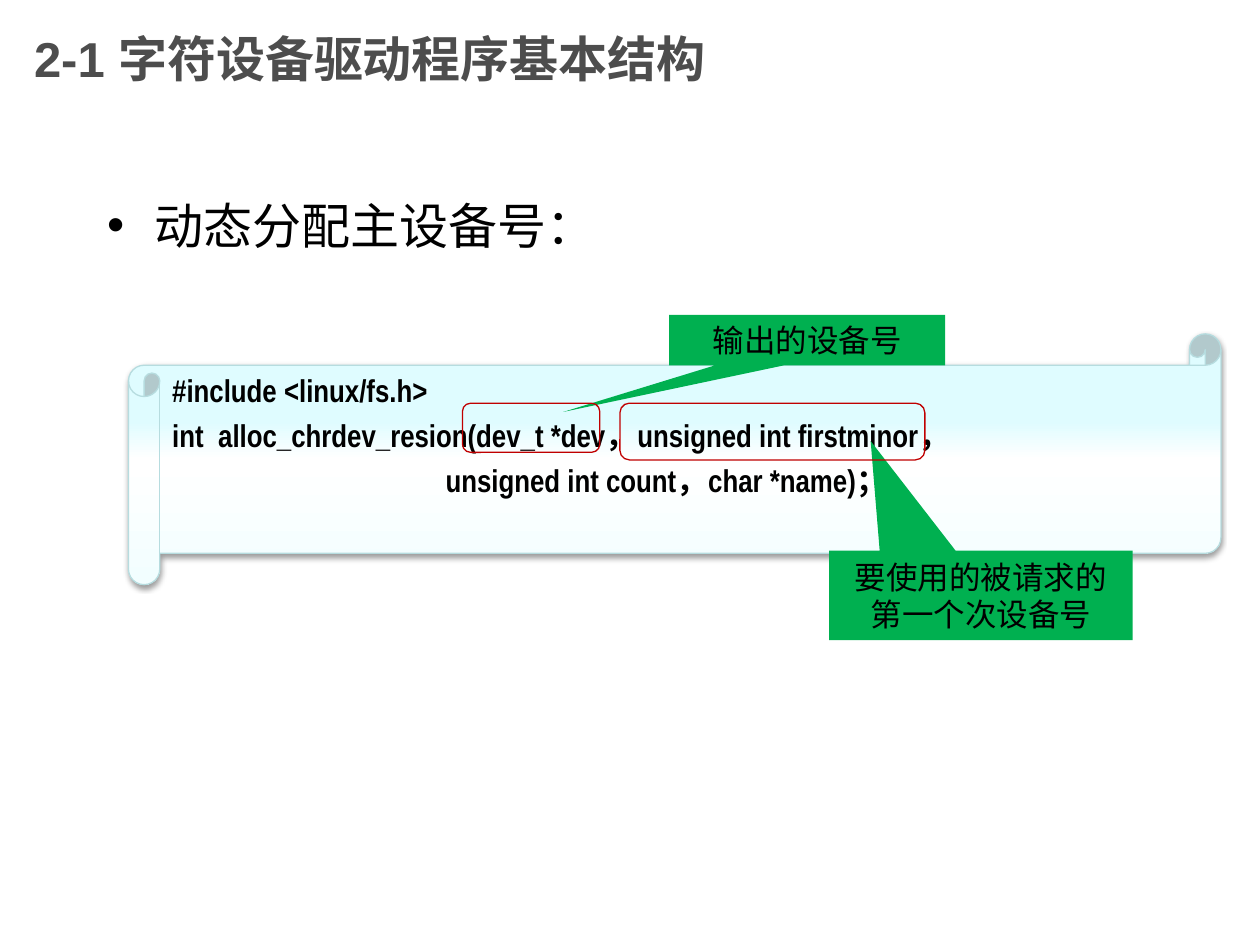
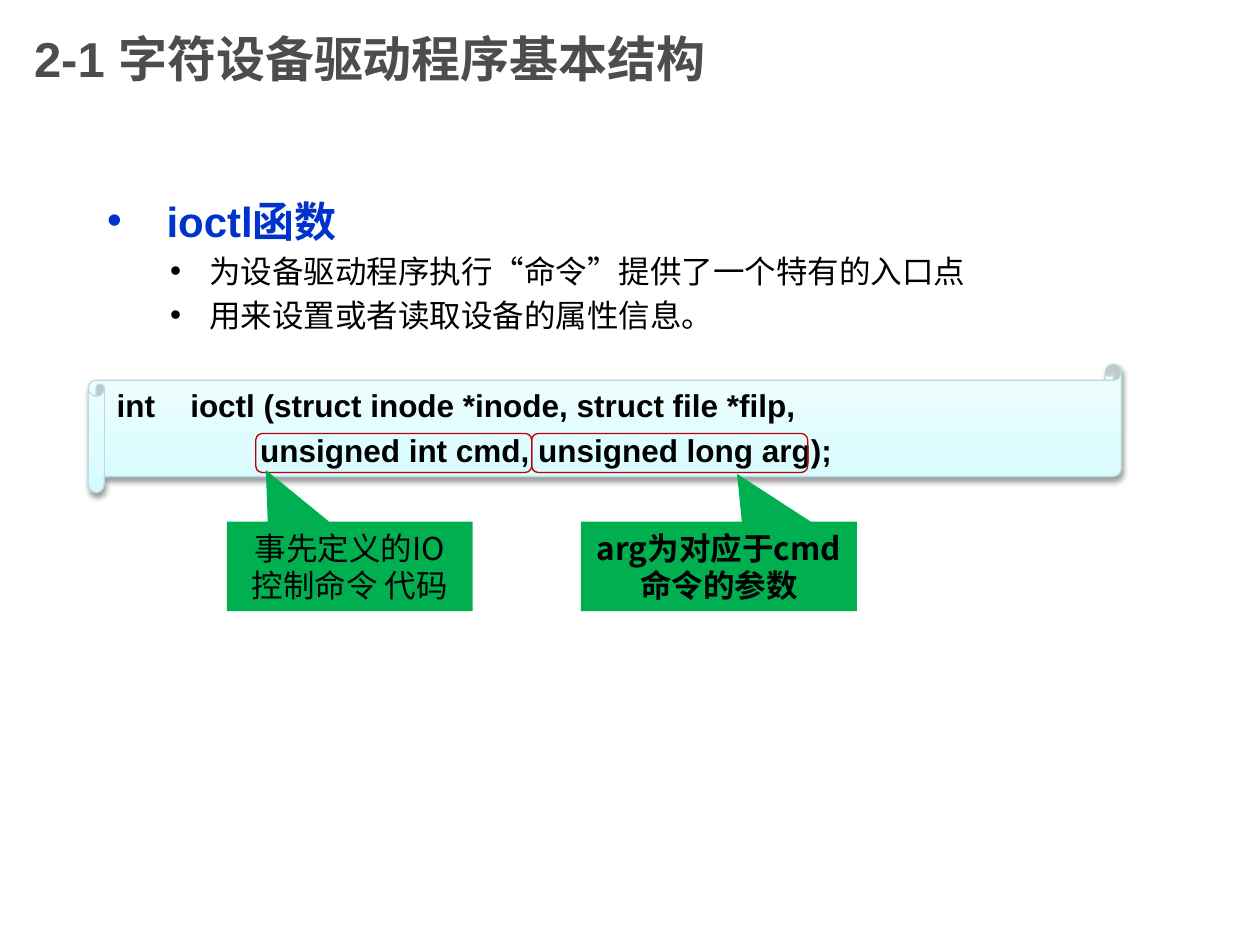
import pptx
import pptx.dml.color
import pptx.enum.shapes
import pptx.enum.text
import pptx.oxml.ns
import pptx.util
from lxml import etree

COLS, ROWS = 100, 75
HEX = {"title": "4D4D4D", "text": "000000", "head": "0033CC", "call": "00B050",
       "frame": "C00000", "edge": "B6DCDF", "shade": "000000"}
CJK = "Noto Sans CJK SC"
TITLE = "2-1 字符设备驱动程序基本结构"
KIND = pptx.enum.shapes.MSO_SHAPE
ALIGN = pptx.enum.text.PP_ALIGN
ANCHOR = pptx.enum.text.MSO_ANCHOR
Pt = pptx.util.Pt
qn = pptx.oxml.ns.qn

deck = pptx.Presentation()
deck.slide_width = pptx.util.Inches(10)
deck.slide_height = pptx.util.Inches(7.5)


def grid(left, top, wide, high):
    """Turn columns and rows into slide lengths."""
    col, row = deck.slide_width / COLS, deck.slide_height / ROWS
    return [round(n) for n in (left * col, top * row, wide * col, high * row)]


def tint(name):
    return pptx.dml.color.RGBColor.from_string(HEX[name])


def add(node, tag, **attrs):
    return etree.SubElement(node, qn(tag), {k: str(v) for k, v in attrs.items()})


def style(para, size, color="text", bold=False, font="Arial"):
    for run in para.runs:
        run.font.size, run.font.bold = Pt(size), bold
        run.font.name = font
        run.font.color.rgb = tint(color)
        add(run.font._element, "a:ea", typeface=CJK)


def indent(para, left, hang=0):
    """Set the left margin and hanging indent, in columns."""
    props = para._p.get_or_add_pPr()
    props.set("marL", str(grid(left, 0, 0, 0)[0]))
    props.set("indent", str(-grid(hang, 0, 0, 0)[0]))
    return props


def place(holder, box):
    holder.left, holder.top, holder.width, holder.height = grid(*box)
    holder.text_frame.auto_size = pptx.enum.text.MSO_AUTO_SIZE.NONE
    return holder.text_frame


def page(items):
    """Add a slide with the shared title and a bulleted list."""
    slide = deck.slides.add_slide(deck.slide_layouts[1])
    frame = place(slide.shapes.title, (1.7, 0, 75, 9.2))
    frame.text = TITLE
    frame.vertical_anchor = ANCHOR.MIDDLE
    frame.paragraphs[0].alignment = ALIGN.LEFT
    style(frame.paragraphs[0], 28, "title", True)

    frame = place(slide.placeholders[1], (7.5, 15, 85, 51.7))
    frame.text = "\n".join(item[0] for item in items)
    for para, (_, left, hang, size, color, bold) in zip(frame.paragraphs, items):
        para.space_before = Pt(size * 0.2)
        props = indent(para, left, hang)
        add(props, "a:buFont", typeface="Arial")
        add(props, "a:buChar", char="•")
        style(para, size, color, bold)
    return slide


def shape(slide, kind, box, line=None):
    item = slide.shapes.add_shape(kind, *grid(*box))
    item.shadow.inherit = False
    if line:
        item.line.color.rgb = tint(line)
        item.line.width = Pt(0.75)
    else:
        item.line.fill.background()
    return item


def scroll(slide, box, stops, angle, lines, font, tab, left):
    """Draw a code scroll; tab and left are the column gap and last line's indent."""
    item = shape(slide, KIND.HORIZONTAL_SCROLL, box, "edge")
    item.fill.gradient()
    item.fill.gradient_angle = angle
    props = item._element.spPr
    ramp = props.find(qn("a:gradFill")).find(qn("a:gsLst"))
    ramp.clear()
    for share, color in stops:
        stop = add(ramp, "a:gs", pos=share * 1000)
        add(stop, "a:srgbClr", val=color)
    shade = add(props.find(qn("a:effectLst")), "a:outerShdw", blurRad=Pt(3.1),
                dist=Pt(1.6), dir=5400000, rotWithShape=0)
    add(add(shade, "a:srgbClr", val=HEX["shade"]), "a:alpha", val=38000)

    frame = item.text_frame
    frame.text = "\n".join(lines)
    frame.vertical_anchor = ANCHOR.TOP
    for para in frame.paragraphs:
        para.alignment = ALIGN.LEFT
        para.space_before = Pt(4)
        if "\t" in para.text:
            tabs = add(para._p.get_or_add_pPr(), "a:tabLst")
            add(tabs, "a:tab", pos=grid(tab, 0, 0, 0)[0], algn="l")
        style(para, 18, bold=True, font=font)
    indent(frame.paragraphs[-1], left)


def frame_code(slide, box):
    shape(slide, KIND.ROUNDED_RECTANGLE, box, "frame").fill.background()


def callout(slide, box, tip, text, font="Arial", bold=False):
    """Draw a callout whose pointer ends at tip, in columns and rows."""
    item = shape(slide, KIND.RECTANGULAR_CALLOUT, box)
    item.fill.solid()
    item.fill.fore_color.rgb = tint("call")
    left, top, wide, high = box
    item.adjustments[0] = (tip[0] - left) / wide - 0.5
    item.adjustments[1] = (tip[1] - top) / high - 0.5
    item.text_frame.text = text
    para = item.text_frame.paragraphs[0]
    para.alignment = ALIGN.CENTER
    style(para, 18, bold=bold, font=font)


def main():
    slide = page([("动态分配主设备号：", 3.8, 3.8, 28, "text", False)])
    scroll(slide, (10.2, 26.5, 86.7, 19.9),
           [(35, "DFFCFF"), (50, "FFFFFF"), (100, "F2FEFF")], 270,
           ["#include <linux/fs.h>",
            "int\talloc_chrdev_resion(dev_t *dev，unsigned int firstminor，",
            "unsigned int count，char *name)；"], "Arial Narrow", 3.65, 21.7)
    callout(slide, (53.1, 25, 21.9, 4), (44.7, 32.7), "输出的设备号")
    callout(slide, (65.8, 43.7, 24.1, 7.1), (69.1, 35), "要使用的被请求的第一个次设备号")
    frame_code(slide, (36.7, 32, 10.9, 3.9))
    frame_code(slide, (49.2, 32, 24.2, 4.5))

    slide = page([
        (" ioctl函数", 3.8, 3.8, 24, "head", True),
        ("为设备驱动程序执行“命令”提供了一个特有的入口点", 8.1, 3.1, 18, "text", False),
        ("用来设置或者读取设备的属性信息。", 8.1, 3.1, 18, "text", False)])
    scroll(slide, (7, 28.9, 82, 10.2),
           [(0, "D3FBFF"), (35, "DFFCFF"), (100, "F2FEFF")], 90,
           ["int\tioctl (struct inode *inode, struct file *filp,",
            "unsigned int cmd, unsigned long arg);"], "Arial", 5.85, 11.4)
    for left in (20.3, 42.2):
        frame_code(slide, (left, 34.4, 21.9, 3.1))
    callout(slide, (18, 41.4, 19.5, 7.1), (21.1, 37.3), "事先定义的IO控制命令 代码", CJK)
    callout(slide, (46.1, 41.4, 21.9, 7.1), (58.5, 37.6), "arg为对应于cmd命令的参数", CJK, True)

    deck.save("out.pptx")


if __name__ == "__main__":
    main()
